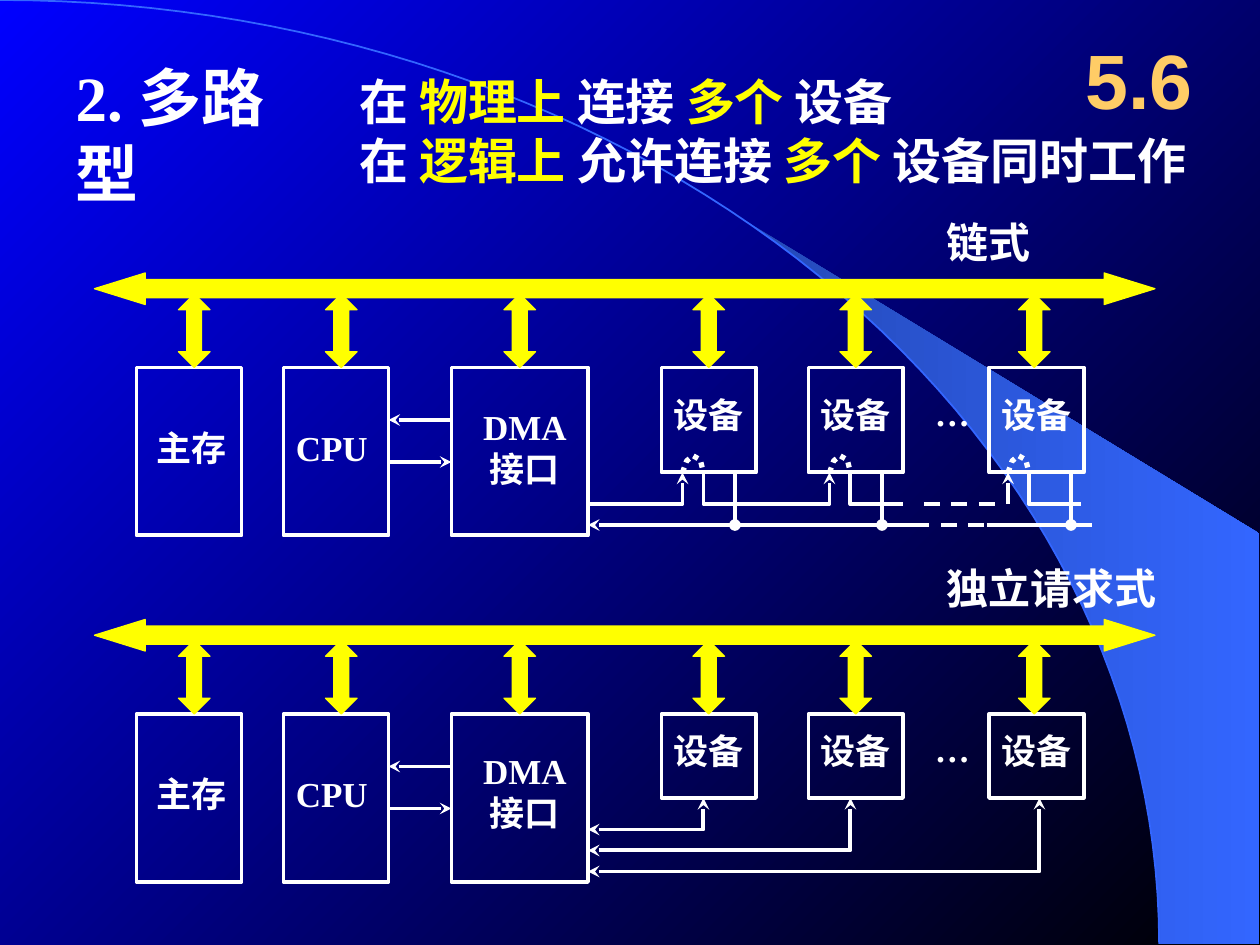
from math import asin, cos, pi, sin

from lxml.etree import SubElement
from pptx import Presentation
from pptx.dml.color import RGBColor
from pptx.enum.dml import MSO_LINE as Dash
from pptx.enum.shapes import MSO_CONNECTOR as Conn, MSO_SHAPE as Shape
from pptx.enum.text import MSO_ANCHOR as Anchor, MSO_AUTO_SIZE as Fit, PP_ALIGN as Align
from pptx.oxml.ns import qn
from pptx.util import Inches, Pt

WHITE = RGBColor(0xFF, 0xFF, 0xFF)
YELLOW = RGBColor(0xFF, 0xFF, 0x00)
GOLD = RGBColor(0xFF, 0xCC, 0x66)
BLUE = RGBColor(0x00, 0x00, 0xFF)
BLACK = RGBColor(0x00, 0x00, 0x00)
ARC_BLUE = RGBColor(0x33, 0x66, 0xFF)
DEEP_BLUE = RGBColor(0x24, 0x49, 0xB6)

COLS, ROWS = 120, 90
CELL = Inches(10) // COLS
SERIF = "Times New Roman"
ARC_W, ARC_H = 110.4, 89.9
UNITS = [("主存", 13, 10, 0.2), ("CPU", 27, 10, -0.4), ("DMA\n接口", 43, 13, 0.5)]
DEVICES = [63, 77, 94.2]
TAPS = [17, 31, 48, 66, 80, 97]


def grid(*values):
    """Turn grid units into lengths."""
    return [round(v * CELL) for v in values]


def write(p, parts, size, font=SERIF):
    """Add runs of (text, colour) to a paragraph."""
    for text, color in parts:
        r = p.add_run()
        r.text = text
        for name, value in {"name": font, "size": Pt(size), "bold": True}.items():
            setattr(r.font, name, value)
        r.font.color.rgb = color


def place(sp, box, wrap=True, anchor=Anchor.TOP):
    """Move a text shape onto the grid and set its frame."""
    sp.left, sp.top, sp.width, sp.height = grid(*box)
    tf = sp.text_frame
    for name, value in {"auto_size": Fit.NONE, "word_wrap": wrap, "vertical_anchor": anchor}.items():
        setattr(tf, name, value)
    return tf


def text(s, box, words, size, color=WHITE, font=SERIF, align=Align.LEFT, wrap=True, anchor=Anchor.TOP):
    """Add a text box with one paragraph per line."""
    tf = place(s.shapes.add_textbox(0, 0, 0, 0), box, wrap, anchor)
    for i, line in enumerate(words.split("\n")):
        p = tf.add_paragraph() if i else tf.paragraphs[0]
        p.alignment = align
        write(p, [(line, color)], size, font)


def label(s, words, col, row, width):
    """Add a centred label inside a unit."""
    text(s, (col, row, width, 5), words, 20, align=Align.CENTER, wrap=False)


def preset(s, kind, box, fill=None, line=WHITE, width=2.25, adjust=()):
    """Add a preset shape."""
    sp = s.shapes.add_shape(kind, *grid(*box))
    sp.shadow.inherit = False
    if fill is None:
        sp.fill.background()
    else:
        sp.fill.solid()
        sp.fill.fore_color.rgb = fill
    sp.line.color.rgb, sp.line.width = line, Pt(width)
    for i, value in enumerate(adjust):
        sp.adjustments[i] = value


def outline(s, points, close=False):
    """Add an unfilled freeform through grid points."""
    pts = [tuple(grid(*pt)) for pt in points]
    builder = s.shapes.build_freeform(*pts[0], scale=1)
    builder.add_line_segments(pts[1:], close=close)
    sp = builder.convert_to_shape()
    sp.shadow.inherit = False
    sp.fill.background()
    return sp


def wire(s, points, head=None, tail=None, dash=None, width=2.25):
    """Add a white signal line, straight or bent."""
    if len(points) == 2:
        sp = s.shapes.add_connector(Conn.STRAIGHT, *grid(*points[0], *points[1]))
    else:
        sp = outline(s, points)
    sp.line.color.rgb, sp.line.width = WHITE, Pt(width)
    if dash:
        sp.line.dash_style = dash
    spPr = sp._element.spPr
    for tag, kind in (("a:headEnd", head), ("a:tailEnd", tail)):
        if kind:
            SubElement(spPr.get_or_add_ln(), qn(tag), type=kind)
    if len(points) == 2:
        SubElement(spPr, qn("a:effectLst"))


def gradient(fill, colors, angle):
    """Fill with a two-colour linear gradient."""
    fill.gradient()
    fill.gradient_angle = angle
    for stop, color in zip(fill.gradient_stops, colors):
        stop.color.rgb = color


def arc(start, steps=60):
    """Return points on the big quarter ellipse from an angle to its foot."""
    angles = [start + (pi / 2 - start) * i / steps for i in range(steps + 1)]
    return [(ARC_W * sin(a), ARC_H * (1 - cos(a))) for a in angles]


def backdrop(s):
    """Draw the gradient background, the beam and the arc."""
    gradient(s.background.fill, (BLUE, BLACK), 315)
    beam = outline(s, arc(asin(70.7 / ARC_W)) + [(119.9, 89.9), (119.9, 50.8)], close=True)
    gradient(beam.fill, (DEEP_BLUE, ARC_BLUE), 0)
    beam.line.fill.background()
    curve = outline(s, arc(0))
    curve.line.color.rgb, curve.line.width = ARC_BLUE, Pt(1)
    for sp in (curve, beam):
        s.shapes._spTree.insert(2, sp._element)


def heading(s):
    """Fill the title, the two statements and the section number."""
    title, body = s.placeholders
    p = place(title, (6, 5, 25.5, 13)).paragraphs[0]
    p.alignment = Align.LEFT
    write(p, [("2. 多路型", WHITE)], 36)
    tf = place(body, (33, 6.2, 87, 12.4))
    lines = [("物理上 ", "连接 ", "设备"), ("逻辑上 ", "允许连接 ", "设备同时工作")]
    for i, (level, verb, rest) in enumerate(lines):
        p = tf.add_paragraph() if i else tf.paragraphs[0]
        pPr = p._p.get_or_add_pPr()
        pPr.set("marL", "0")
        pPr.set("indent", "0")
        SubElement(pPr, qn("a:buNone"))
        p.space_before = Pt(0)
        write(p, [("在 ", WHITE), (level, YELLOW), (verb, WHITE), ("多个 ", YELLOW), (rest, WHITE)], 28)
    text(s, (101, 2, 15, 11), "5.6", 44, GOLD, "Arial", Align.CENTER, anchor=Anchor.MIDDLE)


def system(s, name, row, depth, dma_drop, device_drop):
    """Draw a bus with its units, devices and CPU wires."""
    top = row + 9
    text(s, (89, row - 6, 30, 6), name, 24)
    for words, col, width, shift in UNITS:
        preset(s, Shape.RECTANGLE, (col, top, width, 16))
        label(s, words, col + shift, top + (dma_drop if "\n" in words else 5), width)
    for col in DEVICES:
        preset(s, Shape.RECTANGLE, (col, top, 9, depth))
        label(s, "设备", col, top + device_drop, 9)
    label(s, "…", 87.7, top + device_drop - 0.15, 6)
    preset(s, Shape.LEFT_RIGHT_ARROW, (9, row, 101, 3), YELLOW, YELLOW, 0.75, (0.58, 1.61))
    for col in TAPS:
        preset(s, Shape.UP_DOWN_ARROW, (col, row + 2, 3, 7), YELLOW, YELLOW, 0.75, (0.5, 0.47))
    wire(s, [(37, top + 9), (43, top + 9)], tail="stealth")
    wire(s, [(43, top + 5), (37, top + 5)], tail="stealth")


def chain_wires(s, bottom=45, grant=48, request=50):
    """Link the devices in a daisy chain."""
    wire(s, [(56, grant), (65, grant), (65, bottom)], tail="stealth")
    wire(s, [(67, bottom), (67, grant), (79, grant), (79, bottom)], tail="stealth")
    for col in (81, 98):
        wire(s, [(col, bottom), (col, grant), (col + 5, grant)])
    wire(s, [(88, grant), (95, grant)], dash=Dash.DASH)
    wire(s, [(96, grant), (96, bottom)], tail="stealth")
    wire(s, [(87, request), (56, request)], tail="stealth")
    wire(s, [(87, request), (94, request)], dash=Dash.DASH)
    wire(s, [(94, request), (104, request)])
    for col in (70, 84, 102):
        wire(s, [(col, bottom), (col, request)], tail="oval")
    hop = [(0, 0), (0.4, 1.1), (1, 1.6), (1.7, 1.2), (2, 0)]
    for col in (65, 79, 96):
        wire(s, [(col + x, bottom - y) for x, y in hop], dash=Dash.ROUND_DOT, width=3)


def request_wires(s, bottom=76):
    """Give each device its own request line."""
    for i, col in enumerate((67, 81, 99)):
        row = bottom + 3 + 2 * i
        wire(s, [(56, row), (col, row), (col, bottom)], "stealth", "stealth")


def main():
    """Build the slide and save it."""
    prs = Presentation()
    prs.slide_width, prs.slide_height = grid(COLS, ROWS)
    s = prs.slides.add_slide(prs.slide_layouts[1])
    backdrop(s)
    heading(s)
    system(s, "链式", 26, 10, 3, 1.85)
    chain_wires(s)
    system(s, "独立请求式", 59, 8, 2.8, 0.85)
    request_wires(s)
    prs.save("out.pptx")


if __name__ == "__main__":
    main()
